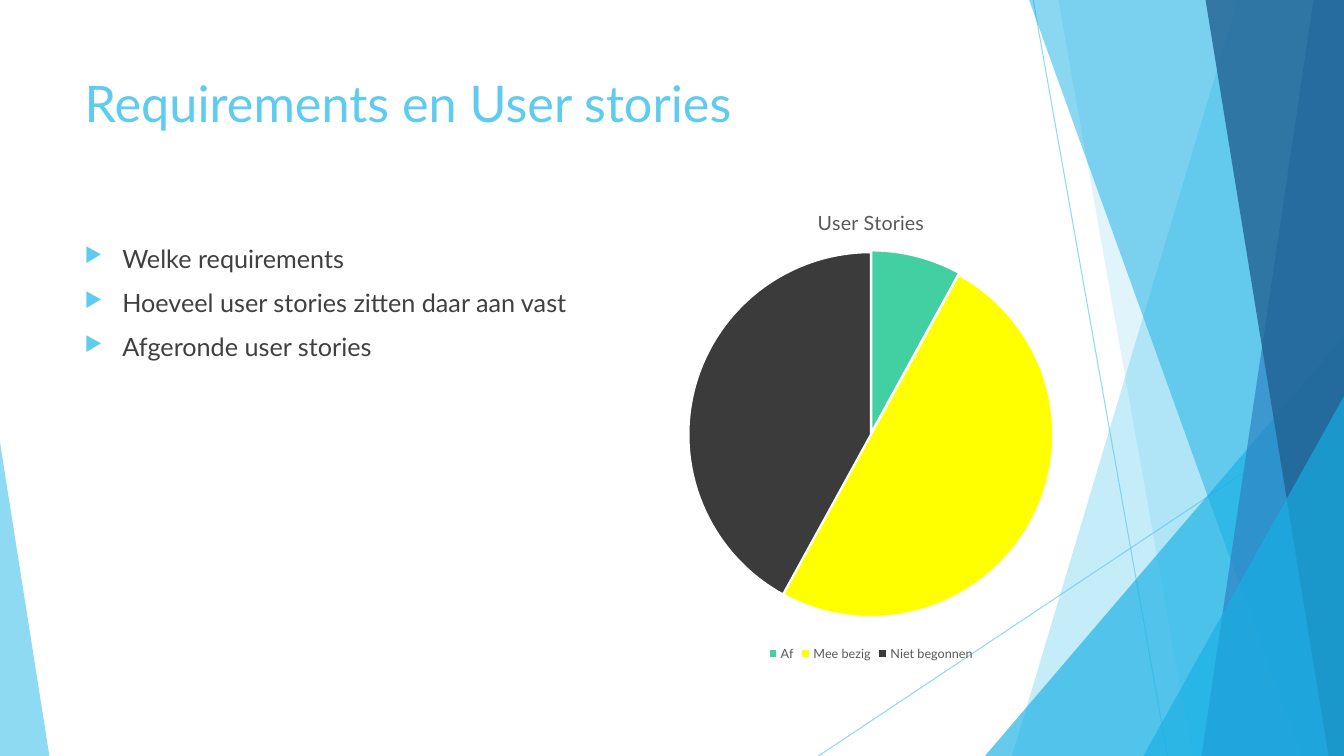
import pptx
import pptx.util
import pptx.chart.data
import pptx.dml.color
import pptx.enum.chart
import pptx.enum.shapes
import pptx.enum.text
import pptx.oxml
import pptx.oxml.ns

Pt = pptx.util.Pt
RGBColor = pptx.dml.color.RGBColor
SKY = RGBColor(0x5F, 0xCB, 0xEF)
AZURE = RGBColor(0x17, 0xB0, 0xE4)
BLUE = RGBColor(0x2E, 0x83, 0xC3)
NAVY = RGBColor(0x22, 0x62, 0x92)
WHITE = RGBColor(0xFF, 0xFF, 0xFF)
TEXT = RGBColor(0x40, 0x40, 0x40)
GRAY = RGBColor(0x59, 0x59, 0x59)
GREEN = RGBColor(0x42, 0xD0, 0xA2)
YELLOW = RGBColor(0xFF, 0xFF, 0x00)
CHARCOAL = RGBColor(0x3B, 0x3B, 0x3B)

FONT = "Lato"
WIDTH, HEIGHT = 960, 540

TITLE = "Requirements en User stories"
BULLETS = [
    "Welke requirements",
    "Hoeveel user stories zitten daar aan vast",
    "Afgeronde user stories",
]
# Category, value, colour
STORIES = [
    ("Af", 8, GREEN),
    ("Mee bezig", 50, YELLOW),
    ("Niet begonnen", 42, CHARCOAL),
]
# Outline bands: left edge at the top, left edge at the bottom, colour, opacity
PALE_BANDS = [(884.2, 722.9, SKY, 36), (756, 851.8, SKY, 20)]
DARK_BANDS = [
    (735.1, 929.5, AZURE, 50),
    (938.2, 858.2, BLUE, 70),
    (861.1, 949, NAVY, 80),
]


def xml(tag, attributes="", inner=""):
    namespace = pptx.oxml.ns.nsdecls(tag.split(":")[0])
    return pptx.oxml.parse_xml(f"<{tag} {namespace} {attributes}>{inner}</{tag}>")


def apply_format(target, values):
    for name, value in values.items():
        setattr(target, name, value)


def format_font(font, size, color):
    apply_format(font, {"name": FONT, "size": Pt(size), "bold": False})
    font.color.rgb = color


def set_opacity(fill_parent, percent):
    for color in fill_parent.iter(pptx.oxml.ns.qn("a:srgbClr")):
        color.append(xml("a:alpha", f'val="{percent * 1000}"'))


def paint(shape, color, opacity):
    shape.shadow.inherit = False
    shape.fill.solid()
    shape.fill.fore_color.rgb = color
    shape.line.fill.background()
    set_opacity(shape._element.spPr, opacity)


def add_band(page, top_left, bottom_left, color, opacity):
    builder = page.shapes.build_freeform(Pt(top_left), 0)
    corners = [(WIDTH, 0), (WIDTH, HEIGHT), (bottom_left, HEIGHT)]
    builder.add_line_segments([(Pt(x), Pt(y)) for x, y in corners])
    paint(builder.convert_to_shape(), color, opacity)


def add_corner(page, left, top, width, apex, color, opacity):
    kind = pptx.enum.shapes.MSO_SHAPE.ISOSCELES_TRIANGLE
    shape = page.shapes.add_shape(kind, Pt(left), Pt(top), Pt(width), Pt(HEIGHT - top))
    shape.adjustments[0] = apex
    paint(shape, color, opacity)


def add_thin_line(page, *ends):
    straight = pptx.enum.shapes.MSO_CONNECTOR.STRAIGHT
    line = page.shapes.add_connector(straight, *[Pt(end) for end in ends])
    line.line.color.rgb = SKY
    line.line.width = Pt(0.75)
    properties = line._element.spPr
    set_opacity(properties, 70)
    properties.append(xml("a:effectLst"))


def add_decoration(page):
    add_thin_line(page, 738, 0, 834, HEIGHT)
    add_thin_line(page, WIDTH, 290, 584.6, HEIGHT)
    for band in PALE_BANDS:
        add_band(page, *band)
    add_corner(page, 703.5, 240, 256.5, 1, AZURE, 66)
    for band in DARK_BANDS:
        add_band(page, *band)
    add_corner(page, 816.7, 283, 143.3, 1, AZURE, 66)
    add_corner(page, 0, 316, 35.3, 0, SKY, 70)


def set_title(page):
    box = page.shapes.title
    apply_format(box, {"left": Pt(53.3), "top": Pt(48),
                       "width": Pt(677), "height": Pt(104)})
    frame = box.text_frame
    frame.text = TITLE
    frame.vertical_anchor = pptx.enum.text.MSO_ANCHOR.TOP
    para = frame.paragraphs[0]
    para.alignment = pptx.enum.text.PP_ALIGN.LEFT
    format_font(para.runs[0].font, 36, SKY)


def add_bullets(page):
    box = page.shapes.add_textbox(Pt(53.3), Pt(170), Pt(677), Pt(305))
    frame = box.text_frame
    frame.word_wrap = True
    for index, words in enumerate(BULLETS):
        para = frame.add_paragraph() if index else frame.paragraphs[0]
        properties = para._p.get_or_add_pPr()
        for name, value in {"marL": Pt(27), "indent": -Pt(27)}.items():
            properties.set(name, str(value))
        properties.append(xml("a:buClr", "", f'<a:srgbClr val="{SKY}"/>'))
        properties.append(xml("a:buSzPct", 'val="80000"'))
        properties.append(xml("a:buChar", 'char="▶"'))
        if index:
            para.space_before = Pt(10)
        span = para.add_run()
        span.text = words
        format_font(span.font, 18, TEXT)


def add_story_chart(page):
    data = pptx.chart.data.CategoryChartData()
    data.categories = [name for name, _, _ in STORIES]
    data.add_series("Series 1", [value for _, value, _ in STORIES])
    kind = pptx.enum.chart.XL_CHART_TYPE.PIE
    chart = page.shapes.add_chart(
        kind, Pt(350.6), Pt(135.4), Pt(543), Pt(340), data).chart
    format_font(chart.font, 10, RGBColor(0, 0, 0))

    # Title and legend
    chart.has_title = True
    title = chart.chart_title
    title.include_in_layout = False
    title.text_frame.text = "User Stories"
    format_font(title.text_frame.paragraphs[0].runs[0].font, 14, GRAY)
    chart.has_legend = True
    apply_format(chart.legend, {
        "position": pptx.enum.chart.XL_LEGEND_POSITION.BOTTOM,
        "include_in_layout": False,
    })
    format_font(chart.legend.font, 9, GRAY)

    # Slices, the first one pulled out slightly
    plot = chart.plots[0]
    plot.vary_by_categories = True
    for index, (_, _, color) in enumerate(STORIES):
        look = plot.series[0].points[index].format
        look.fill.solid()
        look.fill.fore_color.rgb = color
        look.line.color.rgb = WHITE
        look.line.width = Pt(1.5)
    first_slice = plot.series[0]._element.find(pptx.oxml.ns.qn("c:dPt"))
    slice_look = first_slice.find(pptx.oxml.ns.qn("c:spPr"))
    slice_look.addprevious(xml("c:explosion", 'val="1"'))

    # Place of the pie inside the chart
    area = chart._chartSpace.chart.plotArea
    for old in area.findall(pptx.oxml.ns.qn("c:layout")):
        area.remove(old)
    place = {"layoutTarget": "inner", "xMode": "edge", "yMode": "edge",
             "x": 0.26, "y": 0.13, "w": 0.48, "h": 0.77}
    inner = "".join(f'<c:{name} val="{value}"/>' for name, value in place.items())
    area.insert(0, xml("c:layout", "", f"<c:manualLayout>{inner}</c:manualLayout>"))


def main():
    deck = pptx.Presentation()
    apply_format(deck, {"slide_width": Pt(WIDTH), "slide_height": Pt(HEIGHT)})
    page = deck.slides.add_slide(deck.slide_layouts.get_by_name("Title Only"))
    add_decoration(page)
    set_title(page)
    add_bullets(page)
    add_story_chart(page)
    deck.save("out.pptx")


if __name__ == "__main__":
    main()
